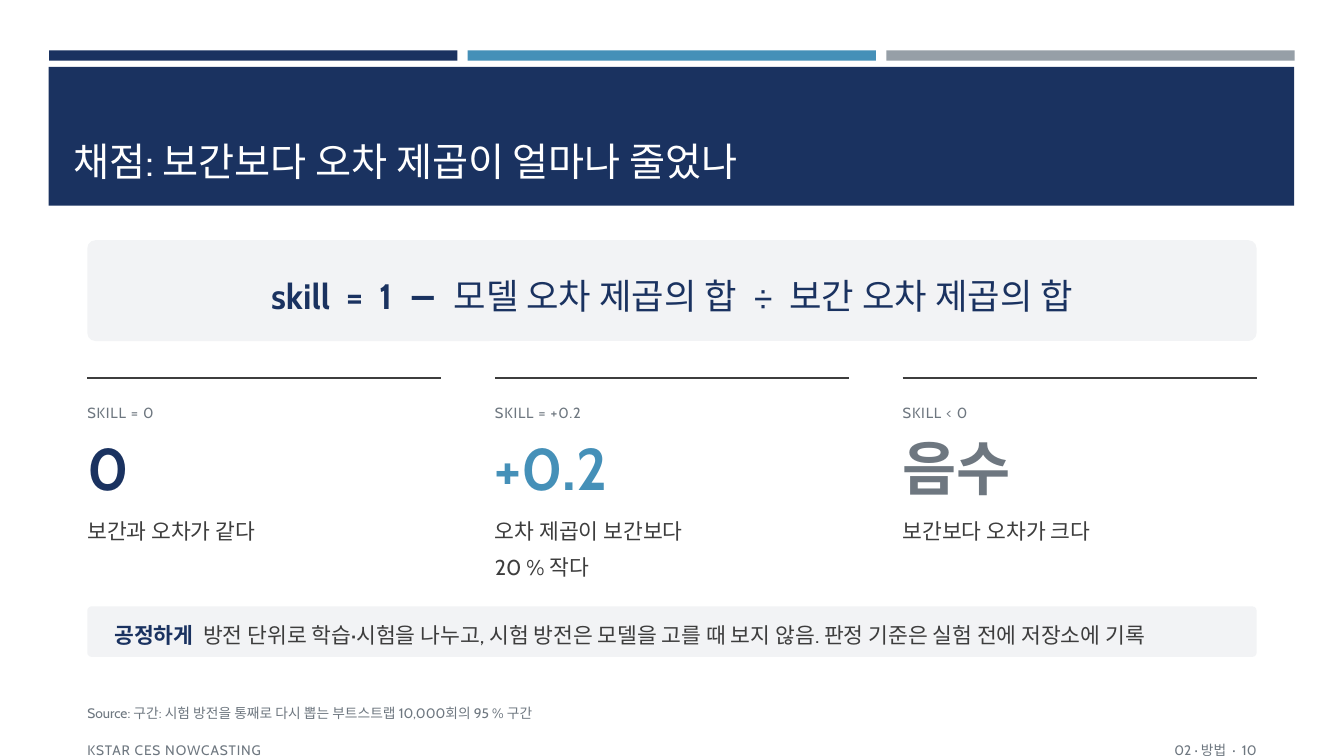
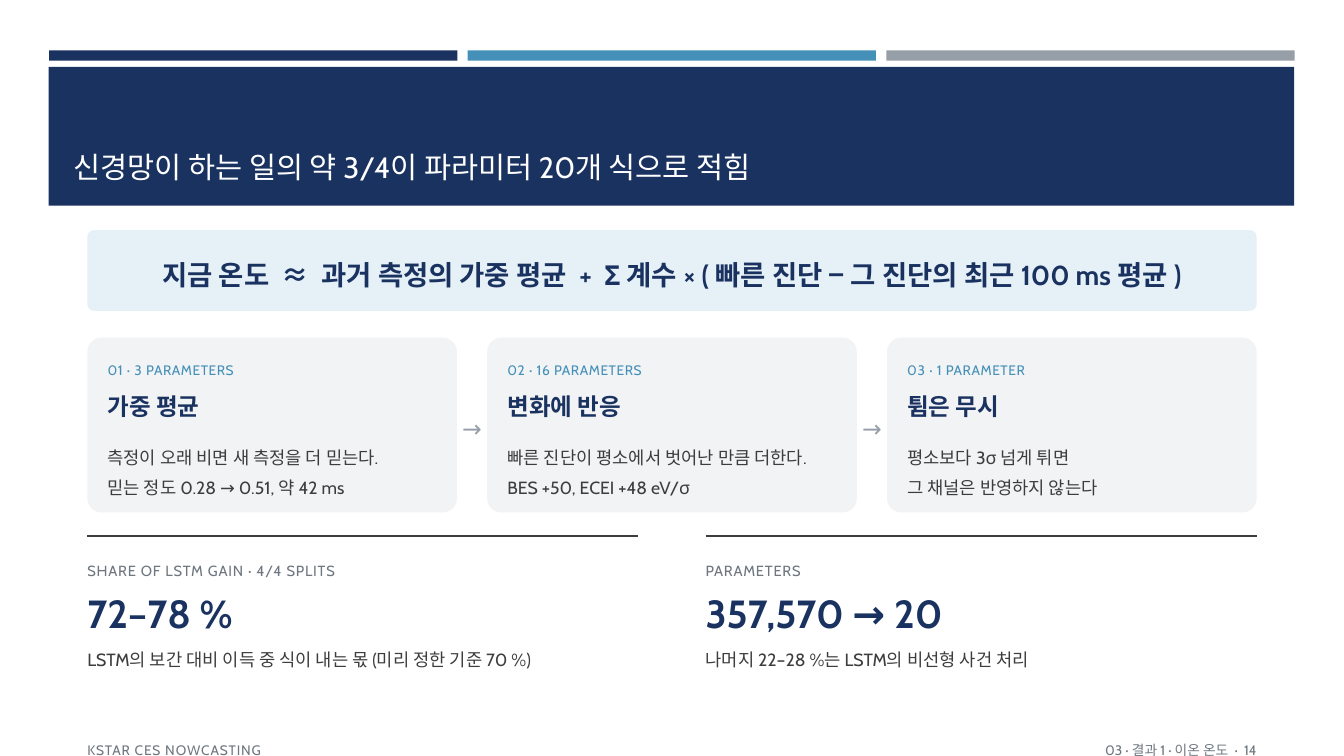
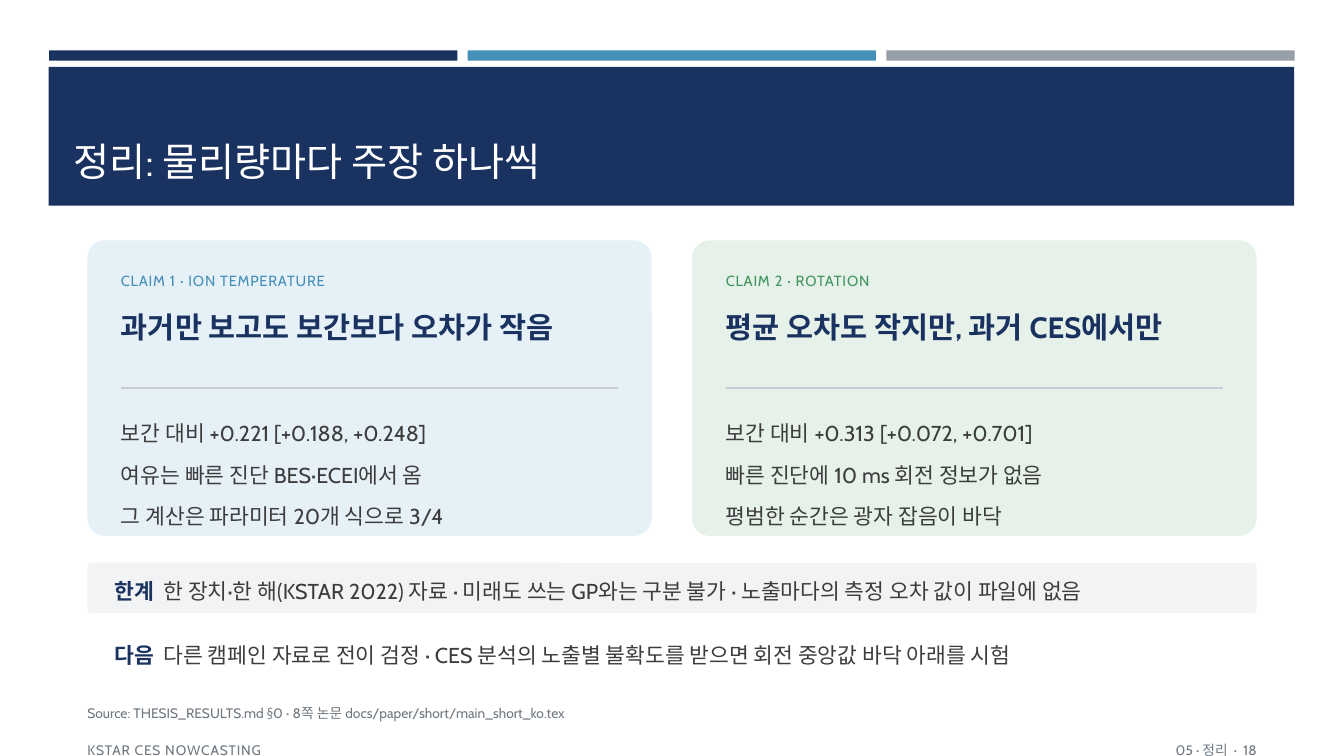
from lxml.etree import SubElement
from pptx import Presentation
from pptx.dml.color import RGBColor
from pptx.enum.shapes import MSO_CONNECTOR, MSO_SHAPE
from pptx.enum.text import MSO_ANCHOR, MSO_AUTO_SIZE, PP_ALIGN
from pptx.oxml.ns import qn
from pptx.util import Pt

FONT = "Cabin"
C = {
    "navy": "1A3260", "blue": "4590B8", "silver": "969FA7", "white": "FFFFFF",
    "ink": "3D3D3D", "gray": "6E7780", "rule": "C9CDD3", "panel": "F2F3F5",
    "pale_blue": "E6F0F7", "pale_green": "E5F1E9", "green": "42955F",
}
LEFT, WIDTH = 62.4, 835.2
FOOTER = "KSTAR CES NOWCASTING"

SCORING = {
    "title": ("채점: 보간보다 오차 제곱이 얼마나 줄었나", 28),
    "formula": [("skill  =  1  −  ", {"bold": True}),
                ("모델 오차 제곱의 합  ÷  보간 오차 제곱의 합", {})],
    "stats": [
        ("SKILL = 0", "0", "navy", ["보간과 오차가 같다"]),
        ("SKILL = +0.2", "+0.2", "blue", ["오차 제곱이 보간보다", "20 % 작다"]),
        ("SKILL < 0", "음수", "gray", ["보간보다 오차가 크다"]),
    ],
    "bar": ("공정하게", "방전 단위로 학습·시험을 나누고, 시험 방전은 모델을 고를 때 보지 않음. "
                    "판정 기준은 실험 전에 저장소에 기록"),
    "source": "Source: 구간: 시험 방전을 통째로 다시 뽑는 부트스트랩 10,000회의 95 % 구간",
    "section": "02 · 방법  ·  10",
}
EQUATION = {
    "title": ("신경망이 하는 일의 약 3/4이 파라미터 20개 식으로 적힘", 21),
    "formula": [("지금 온도  ≈  과거 측정의 가중 평균  +  Σ 계수 × "
                 "( 빠른 진단 − 그 진단의 최근 100 ms 평균 )", {"bold": True})],
    "cards": [
        ("01 · 3 PARAMETERS", "가중 평균",
         ["측정이 오래 비면 새 측정을 더 믿는다.", "믿는 정도 0.28 → 0.51, 약 42 ms"]),
        ("02 · 16 PARAMETERS", "변화에 반응",
         ["빠른 진단이 평소에서 벗어난 만큼 더한다.", "BES +50, ECEI +48 eV/σ"]),
        ("03 · 1 PARAMETER", "튐은 무시",
         ["평소보다 3σ 넘게 튀면", "그 채널은 반영하지 않는다"]),
    ],
    "stats": [
        ("SHARE OF LSTM GAIN · 4/4 SPLITS", "72–78 %", "navy",
         ["LSTM의 보간 대비 이득 중 식이 내는 몫 (미리 정한 기준 70 %)"]),
        ("PARAMETERS", "357,570 → 20", "navy",
         ["나머지 22–28 %는 LSTM의 비선형 사건 처리"]),
    ],
    "section": "03 · 결과 1 · 이온 온도  ·  14",
}
SUMMARY = {
    "title": ("정리: 물리량마다 주장 하나씩", 28),
    "claims": [
        ("CLAIM 1 · ION TEMPERATURE", "과거만 보고도 보간보다 오차가 작음", "blue", "pale_blue",
         ["보간 대비 +0.221 [+0.188, +0.248]", "여유는 빠른 진단 BES·ECEI에서 옴",
          "그 계산은 파라미터 20개 식으로 3/4"]),
        ("CLAIM 2 · ROTATION", "평균 오차도 작지만, 과거 CES에서만", "green", "pale_green",
         ["보간 대비 +0.313 [+0.072, +0.701]", "빠른 진단에 10 ms 회전 정보가 없음",
          "평범한 순간은 광자 잡음이 바닥"]),
    ],
    "limits": ("한계", "한 장치·한 해(KSTAR 2022) 자료 · 미래도 쓰는 GP와는 구분 불가 · "
                     "노출마다의 측정 오차 값이 파일에 없음"),
    "next": ("다음", "다른 캠페인 자료로 전이 검정 · CES 분석의 노출별 불확도를 받으면 "
                   "회전 중앙값 바닥 아래를 시험"),
    "source": "Source: THESIS_RESULTS.md §0 · 8쪽 논문 docs/paper/short/main_short_ko.tex",
    "section": "05 · 정리  ·  18",
}


def rgb(name):
    return RGBColor.from_string(C[name])


def columns(count, gap):
    width = (WIDTH - gap * (count - 1)) / count
    return [LEFT + i * (width + gap) for i in range(count)], width


def add_run(p, text, size, color="ink", bold=False, track=0):
    r = p.add_run()
    r.text = text
    for key, value in {"name": FONT, "size": Pt(size), "bold": bold}.items():
        setattr(r.font, key, value)
    r.font.color.rgb = rgb(color)
    if track:
        r.font._element.set("spc", str(round(track * 100)))


def write(tf, paras, size, color="ink", bold=False, track=0, ls=1.25,
          align=PP_ALIGN.LEFT, anchor=MSO_ANCHOR.TOP):
    frame = {"word_wrap": True, "vertical_anchor": anchor, "margin_left": 0,
             "margin_top": 0, "margin_right": 0, "margin_bottom": 0}
    for key, value in frame.items():
        setattr(tf, key, value)
    for i, para in enumerate(paras):
        p = tf.add_paragraph() if i else tf.paragraphs[0]
        p.alignment, p.line_spacing = align, ls
        for text, fmt in [(para, {})] if isinstance(para, str) else para:
            add_run(p, text, size, **{"color": color, "bold": bold, "track": track, **fmt})


def add_text(s, box, paras, size, **fmt):
    sp = s.shapes.add_textbox(*map(Pt, box))
    write(sp.text_frame, paras, size, **fmt)
    return sp


def add_panel(s, box, fill, kind=MSO_SHAPE.ROUNDED_RECTANGLE, radius=0.08):
    sp = s.shapes.add_shape(kind, *map(Pt, box))
    sp.shadow.inherit = False
    sp.fill.solid()
    sp.fill.fore_color.rgb = rgb(fill)
    sp.line.fill.background()
    if kind == MSO_SHAPE.ROUNDED_RECTANGLE:
        sp.adjustments[0] = radius
    return sp


def add_rule(s, x, y, width, color="ink", weight=1.25):
    line = s.shapes.add_connector(MSO_CONNECTOR.STRAIGHT, Pt(x), Pt(y), Pt(x + width), Pt(y))
    line.line.color.rgb = rgb(color)
    line.line.width = Pt(weight)
    SubElement(line.element.spPr, qn("a:effectLst"))


def decorate_layout(s, layout):
    parts = [add_panel(s, (35.1 + 299 * i, 36, 291.6, 7.4), color, MSO_SHAPE.RECTANGLE)
             for i, color in enumerate(("navy", "blue", "silver"))]
    parts.append(add_panel(s, (34.8, 47.8, 889.6, 99.2), "navy", MSO_SHAPE.RECTANGLE))
    parts.append(add_text(s, (LEFT, 527, 384, 14.4), [FOOTER], 9.8, color="gray", track=0.6))
    for i, sp in enumerate(parts):
        layout.element.cSld.spTree.insert(2 + i, sp.element)


def add_slide(prs, data):
    s = prs.slides.add_slide(prs.slide_layouts[5])
    title, (text, size) = s.shapes.title, data["title"]
    geometry = {"left": 45.4, "top": 57.6, "width": 868.3, "height": 77.8}
    for key, value in geometry.items():
        setattr(title, key, Pt(value))
    tf = title.text_frame
    tf.auto_size, tf.vertical_anchor = MSO_AUTO_SIZE.NONE, MSO_ANCHOR.BOTTOM
    tf.paragraphs[0].alignment = PP_ALIGN.LEFT
    add_run(tf.paragraphs[0], text, size, "white")
    add_text(s, (513.6, 527, 384, 14.4), [data["section"]], 9.8, color="gray",
             align=PP_ALIGN.RIGHT)
    if "source" in data:
        add_text(s, (LEFT, 500.4, WIDTH, 19.2), [data["source"]], 9.8, color="gray")
    return s


def add_formula(s, runs, y, height, size, fill):
    sp = add_panel(s, (LEFT, y, WIDTH, height), fill)
    write(sp.text_frame, [runs], size, color="navy", align=PP_ALIGN.CENTER,
          anchor=MSO_ANCHOR.MIDDLE)


def add_stats(s, stats, y, gap, value_size, note_size, note_dy):
    xs, width = columns(len(stats), gap)
    for x, (label, value, color, note) in zip(xs, stats):
        add_rule(s, x, y, width)
        add_text(s, (x, y + 15.2, width, 16.8), [label], 10.5, color="gray", track=0.6)
        add_text(s, (x, y + 38.2, width, 62.4), [value], value_size, color=color,
                 bold=True, ls=1)
        add_text(s, (x, y + note_dy, width, 86.4), note, note_size, ls=1.4)


def add_bar(s, item, y, fill=None):
    if fill:
        add_panel(s, (LEFT, y, WIDTH, 36), fill)
    head, body = item
    add_text(s, (LEFT + 19.2, y, WIDTH - 38.4, 36),
             [[(head + "  ", {"color": "navy", "bold": True}), (body, {})]], 15.4,
             anchor=MSO_ANCHOR.MIDDLE)


def add_cards(s, cards, y, gap=21.6, pad=14.4):
    xs, width = columns(len(cards), gap)
    inner = width - 2 * pad
    for i, (x, (label, head, body)) in enumerate(zip(xs, cards)):
        add_panel(s, (x, y, width, 124.8), "panel")
        add_text(s, (x + pad, y + 14.4, inner, 19.2), [label], 9.8, color="blue", track=0.4)
        add_text(s, (x + pad, y + 34.6, inner, 43.2), [head], 16.8, color="navy",
                 bold=True, ls=1.2)
        add_text(s, (x + pad, y + 72, inner, 48), body, 12.6, ls=1.4)
        if i:
            add_text(s, (x - gap, y + 48, gap, 28.8), ["→"], 16.8, color="silver",
                     align=PP_ALIGN.CENTER, anchor=MSO_ANCHOR.MIDDLE)


def add_claims(s, claims, y, gap=28.8, pad=24):
    xs, width = columns(len(claims), gap)
    inner = width - 2 * pad
    for x, (label, head, color, fill, body) in zip(xs, claims):
        add_panel(s, (x, y, width, 211.2), fill, radius=0.06)
        add_text(s, (x + pad, y + 19.2, inner, 16.8), [label], 10.5, color=color, track=0.6)
        add_text(s, (x + pad, y + 43.2, inner, 57.6), [head], 21, color="navy", bold=True)
        add_rule(s, x + pad, y + 105.6, inner, "rule", 1)
        add_text(s, (x + pad, y + 117.6, inner, 91.2), body, 15.4, ls=1.6)


def main():
    prs = Presentation()
    prs.slide_width, prs.slide_height = Pt(960), Pt(540)

    s = add_slide(prs, SCORING)
    decorate_layout(s, prs.slide_layouts[5])
    add_formula(s, SCORING["formula"], 171.6, 72, 25.2, "panel")
    add_stats(s, SCORING["stats"], 270, 38.4, 42, 15.4, 92.8)
    add_bar(s, SCORING["bar"], 433.2, "panel")

    s = add_slide(prs, EQUATION)
    add_formula(s, EQUATION["formula"], 164.4, 57.6, 19.6, "pale_blue")
    add_cards(s, EQUATION["cards"], 241.2)
    add_stats(s, EQUATION["stats"], 382.8, 48, 28, 12.6, 75)

    s = add_slide(prs, SUMMARY)
    add_claims(s, SUMMARY["claims"], 171.6)
    add_bar(s, SUMMARY["limits"], 402, "panel")
    add_bar(s, SUMMARY["next"], 447.6)

    prs.save("out.pptx")


if __name__ == "__main__":
    main()
